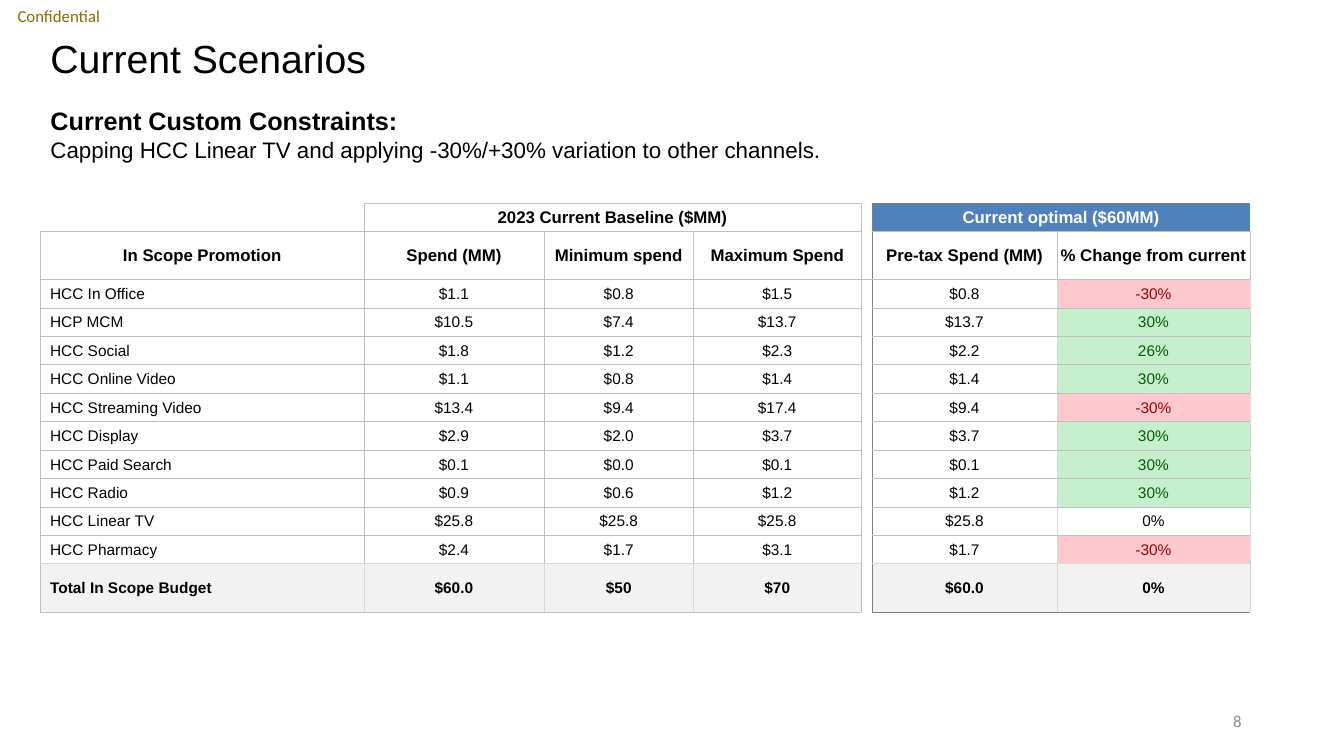
"""Build the Current Scenarios slide with its budget constraint table."""
from lxml.etree import SubElement
from pptx import Presentation
from pptx.dml.color import RGBColor as RGB
from pptx.enum.text import MSO_ANCHOR as ANCHOR, PP_ALIGN as ALIGN
from pptx.oxml.ns import qn
from pptx.util import Pt

BLACK = RGB(0, 0, 0)
WHITE = RGB(255, 255, 255)
GOLD = RGB(0x8E, 0x6A, 0x00)
PAGE_GREY = RGB(0x8C, 0x8C, 0x8C)
BLUE = RGB(0x4F, 0x81, 0xBD)
TOTAL_GREY = RGB(0xF2, 0xF2, 0xF2)
RED_TEXT, RED_FILL = RGB(0x9C, 0x00, 0x06), RGB(0xFF, 0xC7, 0xCE)
GREEN_TEXT, GREEN_FILL = RGB(0x00, 0x61, 0x00), RGB(0xC6, 0xEF, 0xCE)
DARK_LINE = RGB(0x80, 0x80, 0x80)
MID_LINE = RGB(0xBF, 0xBF, 0xBF)
LIGHT_LINE = RGB(0xD9, 0xD9, 0xD9)


def write(paragraph, wording, color=BLACK, align=ALIGN.LEFT, **formats):
    paragraph.alignment = align
    run = paragraph.add_run()
    run.text = wording
    run.font.color.rgb = color
    for name, value in formats.items():
        setattr(run.font, name, value)


def draw_borders(cell, edges):
    properties = cell._tc.get_or_add_tcPr()
    for position, (side, color) in enumerate(edges.items()):
        line = SubElement(properties, qn(f"a:ln{side}"), w=str(Pt(0.5)))
        properties.insert(position, line)
        if color is None:
            SubElement(line, qn("a:noFill"))
        else:
            solid = SubElement(line, qn("a:solidFill"))
            SubElement(solid, qn("a:srgbClr"), val=str(color))


prs = Presentation()
prs.slide_width, prs.slide_height = Pt(960), Pt(540)
slide = prs.slides.add_slide(prs.slide_layouts[6])

small = {"size": Pt(12), "name": "Calibri"}
heading = {"size": Pt(28), "name": "Arial"}
subheading = {"size": Pt(18), "name": "Arial", "bold": True}
detail = {"size": Pt(16), "name": "Arial"}
texts = [
    ((0, 0, 84, 23), ANCHOR.MIDDLE, 12.5, 1,
     [("Confidential", GOLD, ALIGN.LEFT, small)]),
    ((29, 29, 864, 29), ANCHOR.MIDDLE, 7.2, 0.9,
     [("Current Scenarios", BLACK, ALIGN.LEFT, heading)]),
    ((678, 500.5, 216, 29), ANCHOR.MIDDLE, 7.2, 1,
     [("8", PAGE_GREY, ALIGN.RIGHT, small)]),
    ((29, 72, 864, 48), ANCHOR.TOP, 7.2, 1,
     [("Current Custom Constraints:", BLACK, ALIGN.LEFT, subheading),
      ("Capping HCC Linear TV and applying -30%/+30% variation to other channels.",
       BLACK, ALIGN.LEFT, detail)]),
]
for bounds, anchor, inset, spacing, lines in texts:
    frame = slide.shapes.add_textbox(*map(Pt, bounds)).text_frame
    settings = {"word_wrap": True, "vertical_anchor": anchor,
                "margin_left": Pt(inset), "margin_right": Pt(min(inset, 7.2))}
    for name, value in settings.items():
        setattr(frame, name, value)
    for number, (wording, color, align, formats) in enumerate(lines):
        paragraph = frame.add_paragraph() if number else frame.paragraphs[0]
        paragraph.line_spacing = spacing
        write(paragraph, wording, color, align, **formats)

budget = [
    ["", "2023 Current Baseline ($MM)", "", "", "", "Current optimal ($60MM)", ""],
    ["In Scope Promotion", "Spend (MM)", "Minimum spend", "Maximum Spend", "",
     "Pre-tax Spend (MM)", "% Change from current"],
    ["HCC In Office", "$1.1", "$0.8", "$1.5", "", "$0.8", "-30%"],
    ["HCP MCM", "$10.5", "$7.4", "$13.7", "", "$13.7", "30%"],
    ["HCC Social", "$1.8", "$1.2", "$2.3", "", "$2.2", "26%"],
    ["HCC Online Video", "$1.1", "$0.8", "$1.4", "", "$1.4", "30%"],
    ["HCC Streaming Video", "$13.4", "$9.4", "$17.4", "", "$9.4", "-30%"],
    ["HCC Display", "$2.9", "$2.0", "$3.7", "", "$3.7", "30%"],
    ["HCC Paid Search", "$0.1", "$0.0", "$0.1", "", "$0.1", "30%"],
    ["HCC Radio", "$0.9", "$0.6", "$1.2", "", "$1.2", "30%"],
    ["HCC Linear TV", "$25.8", "$25.8", "$25.8", "", "$25.8", "0%"],
    ["HCC Pharmacy", "$2.4", "$1.7", "$3.1", "", "$1.7", "-30%"],
    ["Total In Scope Budget", "$60.0", "$50", "$70", "", "$60.0", "0%"],
]
TOTAL = len(budget) - 1
GAP, OPTIMAL, CHANGE = 4, 5, 6
widths = [231, 128.5, 107, 119.5, 8, 132, 138]
heights = [34.4 if row in (1, TOTAL) else 20.3 for row in range(len(budget))]

table = slide.shapes.add_table(len(budget), len(widths), Pt(29), Pt(145),
                               Pt(sum(widths)), Pt(sum(heights))).table
table.first_row = table.horz_banding = False
for column, width in zip(table.columns, widths):
    column.width = Pt(width)
for line, height in zip(table.rows, heights):
    line.height = Pt(height)
table.cell(0, 1).merge(table.cell(0, 3))
table.cell(0, OPTIMAL).merge(table.cell(0, CHANGE))

for row, values in enumerate(budget):
    for col, value in enumerate(values):
        cell = table.cell(row, col)
        label = col == 0 and row > 1
        settings = {"vertical_anchor": ANCHOR.MIDDLE, "margin_top": Pt(0.7),
                    "margin_bottom": 0, "margin_right": Pt(0.7),
                    "margin_left": Pt(6.8 if label else 0.7)}
        for name, setting in settings.items():
            setattr(cell, name, setting)

        color, fill = BLACK, None
        if row == 0 and col >= OPTIMAL:
            color, fill = WHITE, BLUE
        elif row == TOTAL and col != GAP:
            fill = TOTAL_GREY
        elif row > 1 and col == CHANGE and value != "0%":
            falling = value.startswith("-")
            color, fill = (RED_TEXT, RED_FILL) if falling else (GREEN_TEXT, GREEN_FILL)
        if fill is None:
            cell.fill.background()
        else:
            cell.fill.solid()
            cell.fill.fore_color.rgb = fill

        paragraph = cell.text_frame.paragraphs[0]
        if value:
            write(paragraph, value, color, ALIGN.LEFT if label else ALIGN.CENTER,
                  name="Arial", size=Pt(12 if row < 2 else 11), bold=row in (0, 1, TOTAL))
        else:
            SubElement(paragraph._p, qn("a:endParaRPr"), sz="1100")

        edges = dict.fromkeys("LRTB", MID_LINE)
        if col == GAP:
            edges.update(R=DARK_LINE, T=MID_LINE if row == 2 else None,
                         B=MID_LINE if row == 1 else None)
        elif row == 0 and col == 0:
            edges.update(L=None, T=None)
        elif row == 0 and col >= OPTIMAL:
            edges.update(T=DARK_LINE, R=None)
        elif row > 1:
            if col >= OPTIMAL:
                edges.update(L=LIGHT_LINE, R=LIGHT_LINE)
            if row == TOTAL - 1:
                edges["B"] = LIGHT_LINE
            if row == TOTAL:
                edges.update(L=LIGHT_LINE if col else MID_LINE, T=LIGHT_LINE,
                             R=MID_LINE if col == GAP - 1 else LIGHT_LINE,
                             B=DARK_LINE if col >= OPTIMAL else MID_LINE)
        if col == OPTIMAL:
            edges["L"] = DARK_LINE
        draw_borders(cell, edges)

prs.save("out.pptx")
